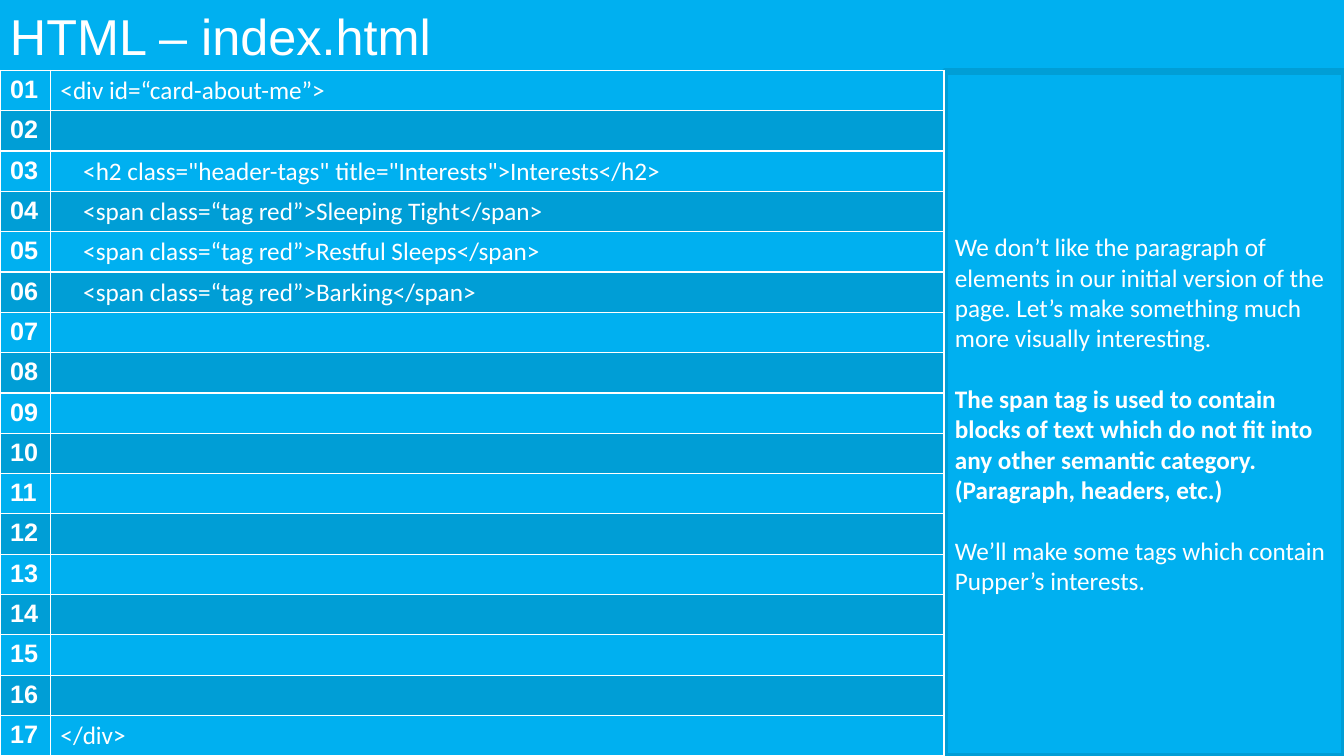
from dataclasses import dataclass

from pptx import Presentation
from pptx.dml.color import RGBColor
from pptx.enum.dml import MSO_PATTERN
from pptx.enum.shapes import MSO_SHAPE
from pptx.enum.text import MSO_ANCHOR, PP_ALIGN
from pptx.util import Pt

PX = 9525  # 96 px to the inch
RECT = MSO_SHAPE.RECTANGLE
DOTS = MSO_PATTERN.PERCENT_5
TOP, MIDDLE = MSO_ANCHOR.TOP, MSO_ANCHOR.MIDDLE
LEFT = PP_ALIGN.LEFT


@dataclass(frozen=True)
class Theme:
    light: RGBColor = RGBColor(0x00, 0xB0, 0xF0)
    dark: RGBColor = RGBColor(0x00, 0x9E, 0xD6)
    dots: RGBColor = RGBColor(0x5B, 0x9B, 0xD5)
    white: RGBColor = RGBColor(0xFF, 0xFF, 0xFF)
    head: str = "Arial"
    body: str = "Calibri"
    title: int = 36
    text: int = 18
    gap: int = 22
    edge: float = 4.5


THEME = Theme()

TITLE = "HTML – index.html"
NOTES = [
    ("We don’t like the paragraph of elements in our initial version of the page. "
     "Let’s make something much more visually interesting.", False),
    ("The span tag is used to contain blocks of text which do not fit into any "
     "other semantic category. (Paragraph, headers, etc.)", True),
    ("We’ll make some tags which contain Pupper’s interests.", False),
]
LINES = 17
CODE = {
    1: "<div id=“card-about-me”>",
    3: '    <h2 class="header-tags" title="Interests">Interests</h2>',
    4: "    <span class=“tag red”>Sleeping Tight</span>",
    5: "    <span class=“tag red”>Restful Sleeps</span>",
    6: "    <span class=“tag red”>Barking</span>",
    17: "</div>",
}


def style(para, face, size, bold=False):
    para.alignment = LEFT
    for run in para.runs:
        font = run.font
        font.name, font.size, font.bold = face, Pt(size), bold
        font.color.rgb = THEME.white


def block(slide, box, anchor):
    shape = slide.shapes.add_shape(RECT, *(n * PX for n in box))
    shape.shadow.inherit = False
    shape.fill.solid()
    shape.fill.fore_color.rgb = THEME.light
    shape.line.fill.background()
    shape.text_frame.word_wrap = True
    shape.text_frame.vertical_anchor = anchor
    return shape


# Title bar
def add_title(slide, box):
    frame = block(slide, box, MIDDLE).text_frame
    frame.text = TITLE
    style(frame.paragraphs[0], THEME.head, THEME.title)


# Side panel with the explanation
def add_panel(slide, box):
    panel = block(slide, box, MIDDLE)
    panel.line.color.rgb = THEME.dark
    panel.line.width = Pt(THEME.edge)
    frame = panel.text_frame
    frame.text = "\n".join(text for text, _ in NOTES)
    for i, (para, (_, bold)) in enumerate(zip(frame.paragraphs, NOTES)):
        style(para, THEME.body, THEME.text, bold)
        if i:
            para.space_before = Pt(THEME.gap)


# Code listing with numbered, striped rows
def add_code(slide, box):
    x, y, width, height = (n * PX for n in box)
    table = slide.shapes.add_table(LINES, 2, x, y, width, height).table
    number = 48 * PX
    table.columns[0].width = number
    table.columns[1].width = width - number
    for i, row in enumerate(table.rows, 1):
        row.height = height // LINES
        parts = [(f"{i:02}", THEME.head, True), (CODE.get(i, ""), THEME.body, False)]
        for cell, (text, face, bold) in zip(row.cells, parts):
            cell.fill.solid()
            cell.fill.fore_color.rgb = THEME.light if i % 2 else THEME.dark
            cell.vertical_anchor = TOP
            cell.margin_top, cell.margin_bottom = 5 * PX, 0
            cell.text = text
            style(cell.text_frame.paragraphs[0], face, THEME.text, bold)


def main():
    deck = Presentation()
    deck.slide_width, deck.slide_height = 1280 * PX, 720 * PX
    slide = deck.slides.add_slide(deck.slide_layouts[6])
    back = slide.background.fill
    back.patterned()
    back.pattern = DOTS
    back.fore_color.rgb, back.back_color.rgb = THEME.dots, THEME.white

    add_title(slide, (0, 0, 1280, 68))
    add_panel(slide, (900, 68, 380, 652))
    add_code(slide, (0, 67, 899, 653))
    deck.save("out.pptx")


if __name__ == "__main__":
    main()
